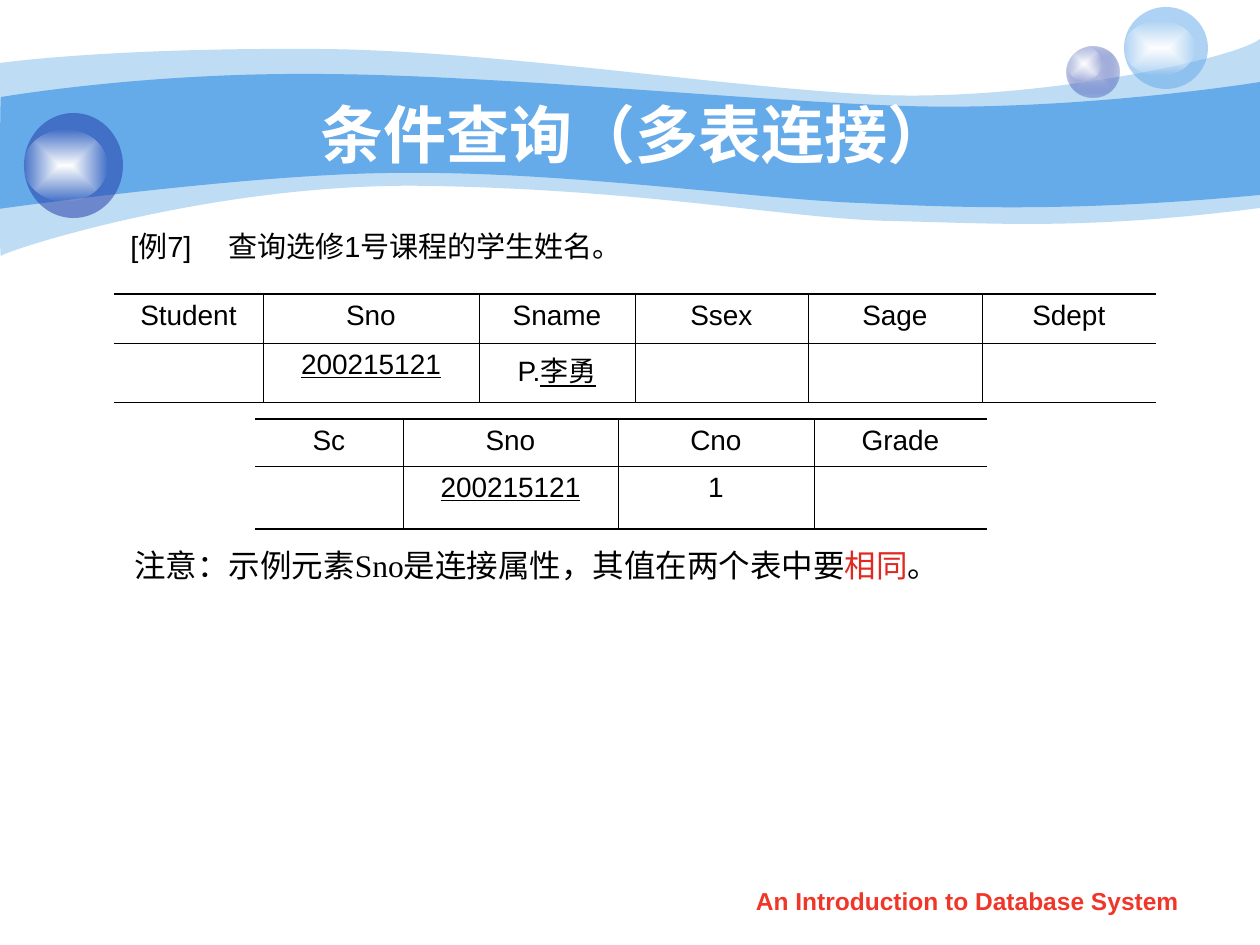
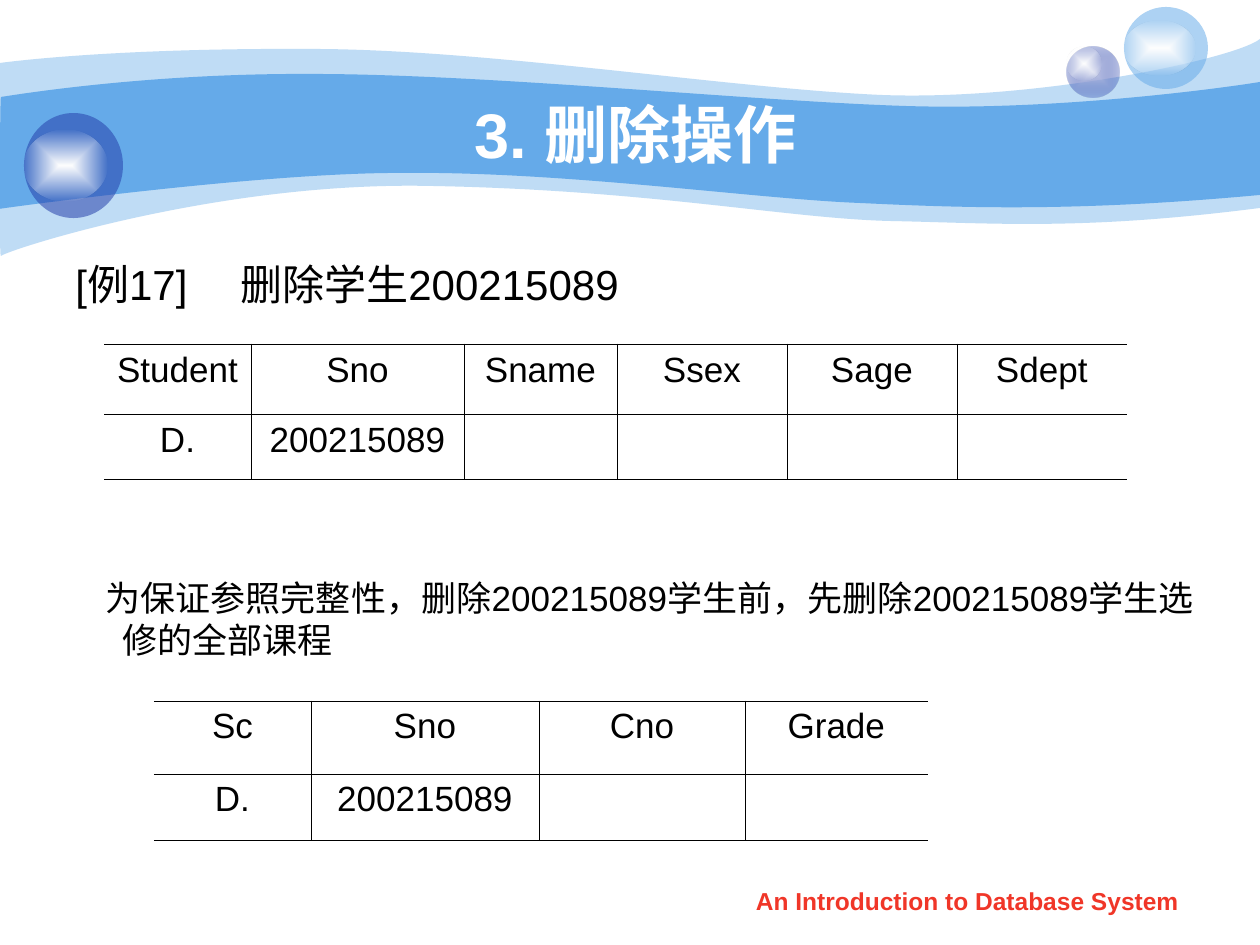
from pptx import Presentation
from pptx.dml.color import RGBColor
from pptx.enum.shapes import MSO_SHAPE
from pptx.enum.text import MSO_ANCHOR, PP_ALIGN
from pptx.oxml import parse_xml
from pptx.oxml.ns import nsdecls
from pptx.util import Pt

WHITE = RGBColor(0xFF, 0xFF, 0xFF)
PEARL = RGBColor(0xFE, 0xFE, 0xFE)
BLACK = RGBColor(0, 0, 0)
SKY = RGBColor(0x65, 0xAA, 0xE9)
NAVY = RGBColor(0x23, 0x3D, 0xA9)
LILAC = RGBColor(0xC6, 0xCC, 0xE8)
RED = RGBColor(0xE0, 0x29, 0x20)
CORAL = RGBColor(0xF0, 0x36, 0x28)
OVAL = MSO_SHAPE.OVAL
LEFT, CENTER, JUSTIFY = PP_ALIGN.LEFT, PP_ALIGN.CENTER, PP_ALIGN.JUSTIFY
TOP, MIDDLE = MSO_ANCHOR.TOP, MSO_ANCHOR.MIDDLE
SANS, SERIF = "Arial", "Times New Roman"
SCALE = 914400 / 126
THIN, THICK = 0.45, 1.08

PALE_TOP = [
    (0, 63), (30, 59), (135, 48), (311, 49), (486, 49), (725, 88), (881, 95),
    (1036, 101), (1235, 59), (1260, 39)]
PALE_BASE = [
    (1260, 208), (1081, 231), (992, 223), (888, 221), (784, 218), (649, 190),
    (432, 186), (217, 181), (5, 251), (1, 256), (-1, 262), (0, 95), (0, 63)]
DEEP_TOP = [
    (1, 97), (3, 97), (139, 73), (312, 74), (486, 74), (750, 101), (905, 106),
    (1060, 111), (1230, 87), (1260, 82)]
DEEP_BASE = [
    (1260, 195), (1075, 212), (964, 208), (859, 203), (755, 199), (563, 171),
    (399, 173), (256, 173), (-3, 209), (-1, 209), (0, 209), (0, 97), (1, 97)]
GLOW = [(WHITE, 100), (PEARL, 0)]
BALLS = [
    ((1067, 47, 53, 51), [(LILAC, 100), (NAVY, 31)]),
    ((1067, 47, 35, 34), GLOW),
    ((1124, 7, 84, 82), [(SKY, 53)]),
    ((1124, 21, 71, 54), GLOW),
    ((24, 113, 99, 105), [(NAVY, 53)]),
    ((24, 130, 83, 71), GLOW)]
STUDENT = ["Student", "Sno", "Sname", "Ssex", "Sage", "Sdept"]
COURSE = ["Sc", "Sno", "Cno", "Grade"]


def px(n):
    return round(n * SCALE)


def tint(color, alpha):
    return (f'<a:srgbClr val="{color}"><a:alpha val="{alpha * 1000}"/>'
            '</a:srgbClr>')


def paint(shape, stops):
    if len(stops) == 1:
        body = f'<a:solidFill {nsdecls("a")}>{tint(*stops[0])}</a:solidFill>'
    else:
        marks = "".join(f'<a:gs pos="{i * 100000}">{tint(*stop)}</a:gs>'
                        for i, stop in enumerate(stops))
        body = (f'<a:gradFill {nsdecls("a")}><a:gsLst>{marks}</a:gsLst>'
                '<a:path path="rect"><a:fillToRect l="50000" t="50000" '
                'r="50000" b="50000"/></a:path></a:gradFill>')
    shape.element.spPr.insert(2, parse_xml(body))
    shape.line.fill.background()
    shape.shadow.inherit = False


def bend(legs):
    for i in range(0, len(legs), 3):
        curve = parse_xml(f'<a:cubicBezTo {nsdecls("a")}/>')
        legs[i].addprevious(curve)
        for leg in legs[i:i + 3]:
            curve.append(leg[0])
            leg.getparent().remove(leg)


def add_wave(slide, crest, base, alpha):
    knots = [tuple(map(px, knot)) for knot in crest + base]
    pen = slide.shapes.build_freeform(*knots[0])
    pen.add_line_segments(knots[1:], close=True)
    wave = pen.convert_to_shape()
    legs = wave.element.xpath(".//a:lnTo")
    side = len(crest) - 1
    bend(legs[:side])
    bend(legs[side + 1:])
    paint(wave, [(SKY, alpha)])


def fill_line(para, runs, size, color=BLACK, face=SANS, bold=False):
    font = para.font
    font.size, font.name, font.bold = Pt(size), face, bold
    font.color.rgb = color
    for text, look in runs:
        run = para.add_run()
        run.text = text
        if "color" in look:
            run.font.color.rgb = look["color"]
        if "line" in look:
            run.font.underline = look["line"]


def add_text(slide, box, runs, size, align=LEFT, anchor=TOP, space=None,
             tab=0, hang=0, **look):
    frame = slide.shapes.add_textbox(*map(px, box)).text_frame
    frame.word_wrap = True
    frame.vertical_anchor = anchor
    para = frame.paragraphs[0]
    para.alignment = align
    if space:
        para.line_spacing = space
    props = para._p.get_or_add_pPr()
    if hang:
        props.set("marL", str(px(hang)))
        props.set("indent", str(-px(hang)))
    if tab:
        props.append(parse_xml(
            f'<a:tabLst {nsdecls("a")}><a:tab pos="{px(tab)}" algn="l"/>'
            '</a:tabLst>'))
    fill_line(para, runs, size, **look)


def add_edge(cell, side, width):
    ink = (f'<a:solidFill><a:srgbClr val="{BLACK}"/></a:solidFill>'
           if width else '<a:noFill/>')
    cell._tc.get_or_add_tcPr().append(parse_xml(
        f'<a:ln{side} {nsdecls("a")} w="{Pt(width)}">{ink}</a:ln{side}>'))


def add_grid(slide, left, top, cols, rows, cells, size, head=THICK,
             foot=THICK):
    frame = slide.shapes.add_table(len(rows), len(cols), px(left), px(top),
                                   px(sum(cols)), px(sum(rows)))
    grid = frame.table
    grid.first_row = grid.horz_banding = False
    for col, width in zip(grid.columns, cols):
        col.width = px(width)
    for row, height in zip(grid.rows, rows):
        row.height = px(height)
    for r, line in enumerate(cells):
        for c, item in enumerate(line):
            cell = grid.cell(r, c)
            add_edge(cell, "L", THIN if c else 0)
            add_edge(cell, "R", THIN if c < len(cols) - 1 else 0)
            add_edge(cell, "T", THIN if r else head)
            add_edge(cell, "B", THIN if r < len(rows) - 1 else foot)
            cell.fill.background()
            if item:
                para = cell.text_frame.paragraphs[0]
                para.alignment = CENTER
                runs = [(item, {})] if isinstance(item, str) else item
                fill_line(para, runs, size)


def start_slide(deck, title):
    slide = deck.slides.add_slide(deck.slide_layouts[6])
    add_wave(slide, PALE_TOP, PALE_BASE, 41)
    add_wave(slide, DEEP_TOP, DEEP_BASE, 100)
    for box, stops in BALLS:
        paint(slide.shapes.add_shape(OVAL, *map(px, box)), stops)
    add_text(slide, (126, 94, 1019, 78), [(title, {})], 36, CENTER, MIDDLE,
             color=WHITE, bold=True)
    add_text(slide, (719, 880, 497, 44),
             [("An Introduction to Database System", {})], 14, CENTER,
             color=CORAL, bold=True)
    return slide


def add_query(deck):
    slide = start_slide(deck, "条件查询（多表连接）")
    add_text(slide, (118, 235, 1028, 50),
             [("[例7]\t查询选修1号课程的学生姓名。", {})], 16.6,
             space=0.6, tab=98)
    key = [("200215121", {"line": True})]
    name = [("P.", {}), ("李勇", {"line": True})]
    add_grid(slide, 114, 294, [149, 216, 156, 173, 174, 174], [49, 59],
             [STUDENT, ["", key, name, "", "", ""]], 16, foot=THIN)
    add_text(slide, (122, 532, 870, 58),
             [("注意：示例元素Sno是连接属性，其值在两个表中要", {}),
              ("相同", {"color": RED}), ("。", {})], 18,
             space=1.2, face=SERIF)
    add_grid(slide, 255, 419, [148, 215, 196, 173], [47, 63],
             [COURSE, ["", key, "1", ""]], 16)


def add_delete(deck):
    slide = start_slide(deck, "3. 删除操作")
    add_text(slide, (63, 252, 1143, 66),
             [("[例17]\t删除学生200215089", {})], 24, tab=165)
    add_text(slide, (93, 570, 1113, 100),
             [("为保证参照完整性，删除200215089学生前，"
               "先删除200215089学生选修的全部课程", {})], 20, JUSTIFY, hang=17)
    key = "200215089"
    add_grid(slide, 104, 344, [147, 213, 153, 170, 170, 170], [70, 65],
             [STUDENT, ["D.", key, "", "", "", ""]], 20, THIN, THIN)
    add_grid(slide, 154, 701, [157, 228, 206, 183], [73, 66],
             [COURSE, ["D.", key, "", ""]], 20, THIN, THIN)


def main():
    deck = Presentation()
    deck.slide_width, deck.slide_height = px(1260), px(945)
    add_query(deck)
    add_delete(deck)
    deck.save("out.pptx")


if __name__ == "__main__":
    main()
